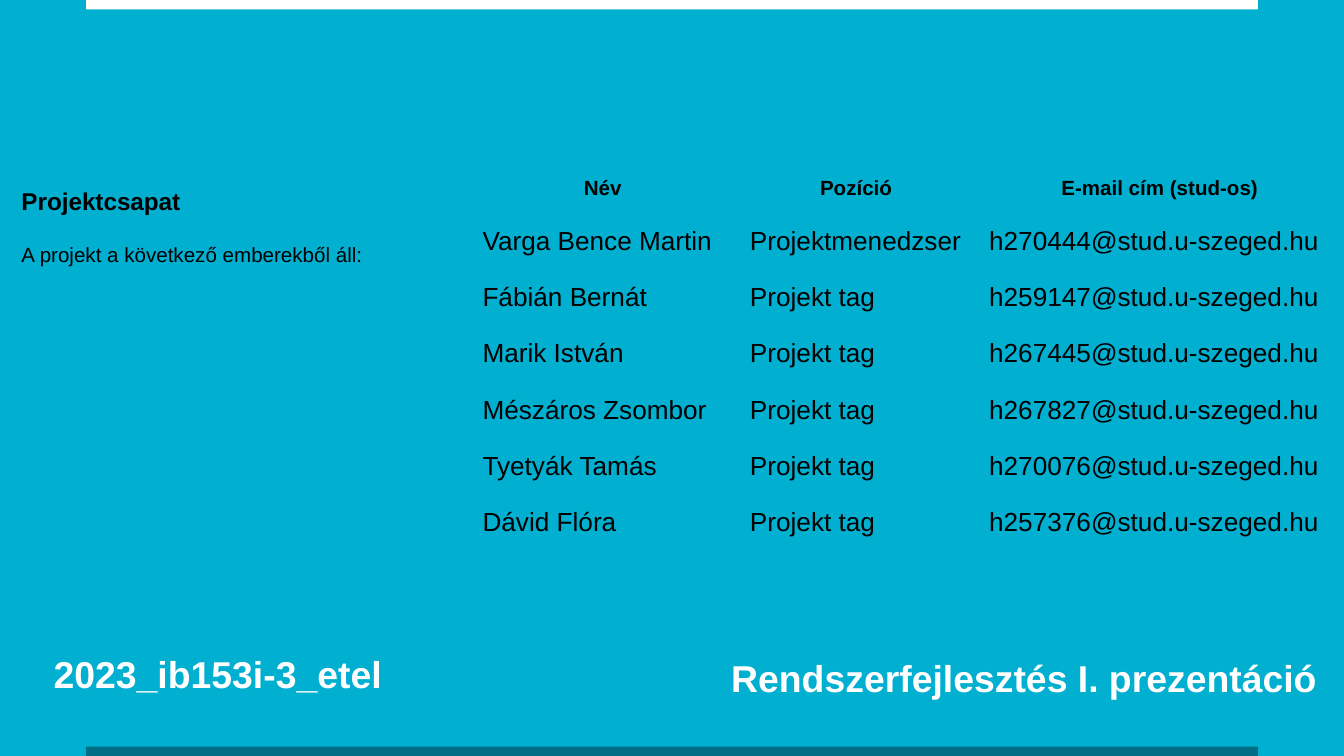
"""Build the project team slide with its member table."""
from typing import NamedTuple

from pptx import Presentation
from pptx.dml.color import RGBColor
from pptx.enum import shapes, text
from pptx.oxml import ns
from pptx.util import Inches, Pt

WHITE, BLACK = "FFFFFF", "000000"
BACKGROUND, DARK_TEAL = "01AFD1", "006F85"
SLIDE_WIDTH = 10
SLIDE_HEIGHT = SLIDE_WIDTH * 9 / 16
BAR_HEIGHT = 0.07
HEADINGS = ("Név", "Pozíció", "E-mail cím (stud-os)")
COLUMN_WIDTHS = (1.99, 1.78, 2.74)
MIN_ROW_HEIGHT = 0.21
INSET = 0.1


class Box(NamedTuple):
    left: float
    top: float
    width: float
    height: float

    def lengths(self) -> tuple:
        return tuple(Inches(value) for value in self)


class Bar(NamedTuple):
    top: float
    color: str


class Member(NamedTuple):
    name: str
    position: str
    email: str


COURSE_BOX = Box(0.3, 4.74, 3.62, 0.54)
TITLE_BOX = Box(5.34, 4.69, 4.66, 0.71)
INTRO_BOX = Box(0.06, 0.03, 3.28, 3.28)
TABLE_BOX = Box(3.49, 1.19, 3.28, 3.28)
BARS = (Bar(0, WHITE), Bar(SLIDE_HEIGHT - BAR_HEIGHT, DARK_TEAL))
MEMBERS = (
    Member("Varga Bence Martin", "Projektmenedzser", "h270444@stud.u-szeged.hu"),
    Member("Fábián Bernát", "Projekt tag", "h259147@stud.u-szeged.hu"),
    Member("Marik István", "Projekt tag", "h267445@stud.u-szeged.hu"),
    Member("Mészáros Zsombor", "Projekt tag", "h267827@stud.u-szeged.hu"),
    Member("Tyetyák Tamás", "Projekt tag", "h270076@stud.u-szeged.hu"),
    Member("Dávid Flóra", "Projekt tag", "h257376@stud.u-szeged.hu"),
)


def paint(fill, color: str) -> None:
    fill.solid()
    fill.fore_color.rgb = RGBColor.from_string(color)


def style(paragraph, size: float, color: str, bold: bool = False) -> None:
    for run in paragraph.runs:
        run.font.name = "Arial"
        run.font.size = Pt(size)
        run.font.bold = bold
        run.font.color.rgb = RGBColor.from_string(color)


def set_insets(target) -> None:
    for side in ("left", "right", "top", "bottom"):
        setattr(target, f"margin_{side}", Inches(INSET))


def place(shape, box: Box, content: str):
    shape.left, shape.top, shape.width, shape.height = box.lengths()
    frame = shape.text_frame
    frame.text = content
    frame.word_wrap = True
    frame.auto_size = text.MSO_AUTO_SIZE.NONE
    frame.vertical_anchor = text.MSO_ANCHOR.MIDDLE
    set_insets(frame)
    for paragraph in frame.paragraphs:
        paragraph.alignment = text.PP_ALIGN.LEFT
    return frame


def draw_footer(shape, box: Box, content: str) -> None:
    frame = place(shape, box, content)
    style(frame.paragraphs[0], 20, WHITE, bold=True)


def draw_bar(slide, bar: Bar) -> None:
    shape = slide.shapes.add_shape(
        shapes.MSO_SHAPE.RECTANGLE,
        *Box(0.64, bar.top, 8.72, BAR_HEIGHT).lengths())
    shape.shadow.inherit = False
    paint(shape.fill, bar.color)
    shape.line.fill.background()


def draw_team_intro(placeholder) -> None:
    frame = place(placeholder, INTRO_BOX,
                  "Projektcsapat\nA projekt a következő emberekből áll:")
    heading, intro = frame.paragraphs
    for paragraph in (heading, intro):
        properties = paragraph._p.get_or_add_pPr()
        properties.set("marL", "0")
        properties.set("indent", "0")
        properties.append(properties.makeelement(ns.qn("a:buNone"), {}))
        paragraph.line_spacing = 1.15
        paragraph.space_after = Pt(0)
    heading.space_before = Pt(0)
    intro.space_before = Pt(12)
    style(heading, 13, BLACK, bold=True)
    style(intro, 11, BLACK)


def draw_members(slide) -> None:
    frame = slide.shapes.add_table(
        len(MEMBERS) + 1, len(HEADINGS), *TABLE_BOX.lengths())
    table = frame.table
    table.first_row = table.horz_banding = False
    table._tbl.tblPr.find(ns.qn("a:tableStyleId")).text = (
        "{2D5ABB26-0587-4C30-8999-92F81FD0307C}")
    for column, width in zip(table.columns, COLUMN_WIDTHS):
        column.width = Inches(width)
    for index, (row, values) in enumerate(zip(table.rows, (HEADINGS, *MEMBERS))):
        is_header = index == 0
        row.height = Inches(MIN_ROW_HEIGHT)
        for cell, value in zip(row.cells, values):
            cell.text = value
            cell.fill.background()
            set_insets(cell)
            paragraph = cell.text_frame.paragraphs[0]
            if is_header:
                paragraph.alignment = text.PP_ALIGN.CENTER
                paragraph.line_spacing = 1.15
            style(paragraph, 11 if is_header else 14, BLACK, bold=is_header)
    frame.width, frame.height = TABLE_BOX.lengths()[2:]


def main() -> None:
    deck = Presentation()
    deck.slide_width, deck.slide_height = Inches(SLIDE_WIDTH), Inches(SLIDE_HEIGHT)
    slide = deck.slides.add_slide(deck.slide_layouts[1])
    paint(slide.background.fill, BACKGROUND)

    course = slide.shapes.add_textbox(*COURSE_BOX.lengths())
    draw_footer(course, COURSE_BOX, "2023_ib153i-3_etel")
    draw_footer(slide.shapes.title, TITLE_BOX, "Rendszerfejlesztés I. prezentáció")
    for bar in BARS:
        draw_bar(slide, bar)
    draw_members(slide)
    draw_team_intro(slide.placeholders[1])
    deck.save("out.pptx")


if __name__ == "__main__":
    main()
